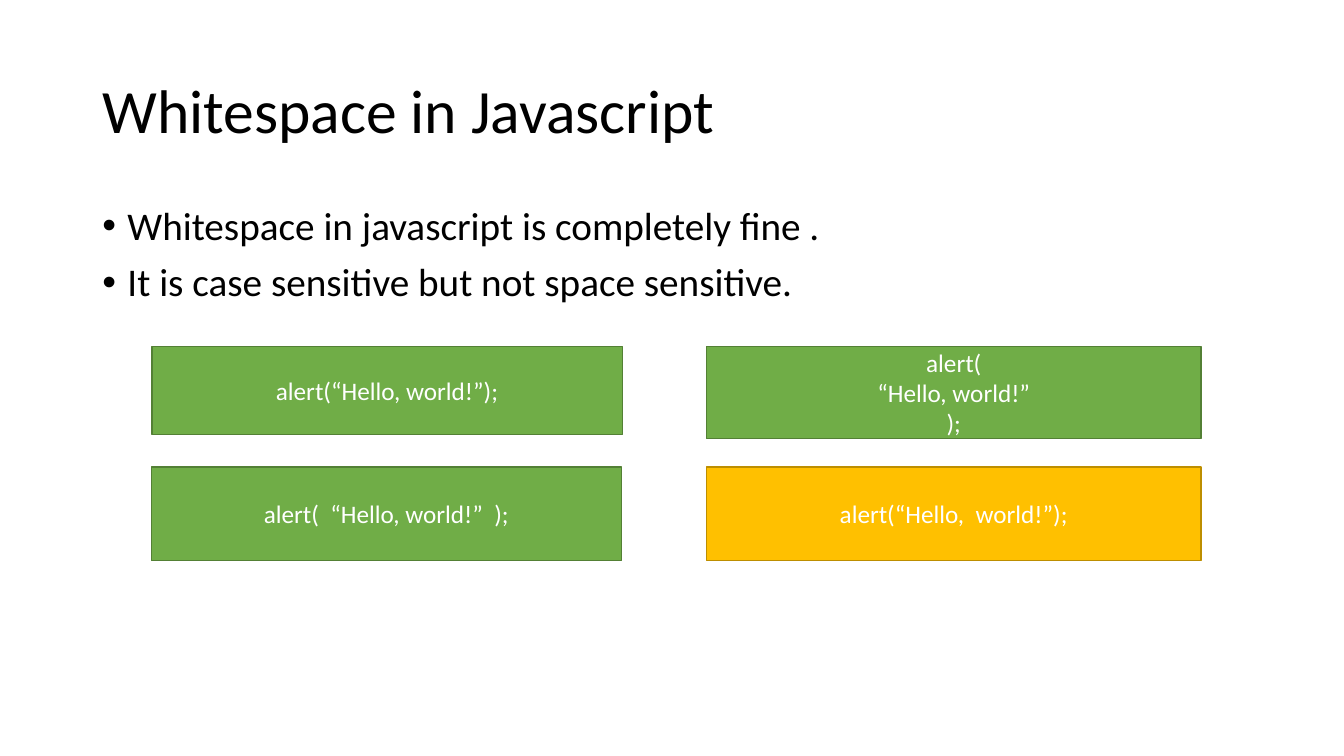
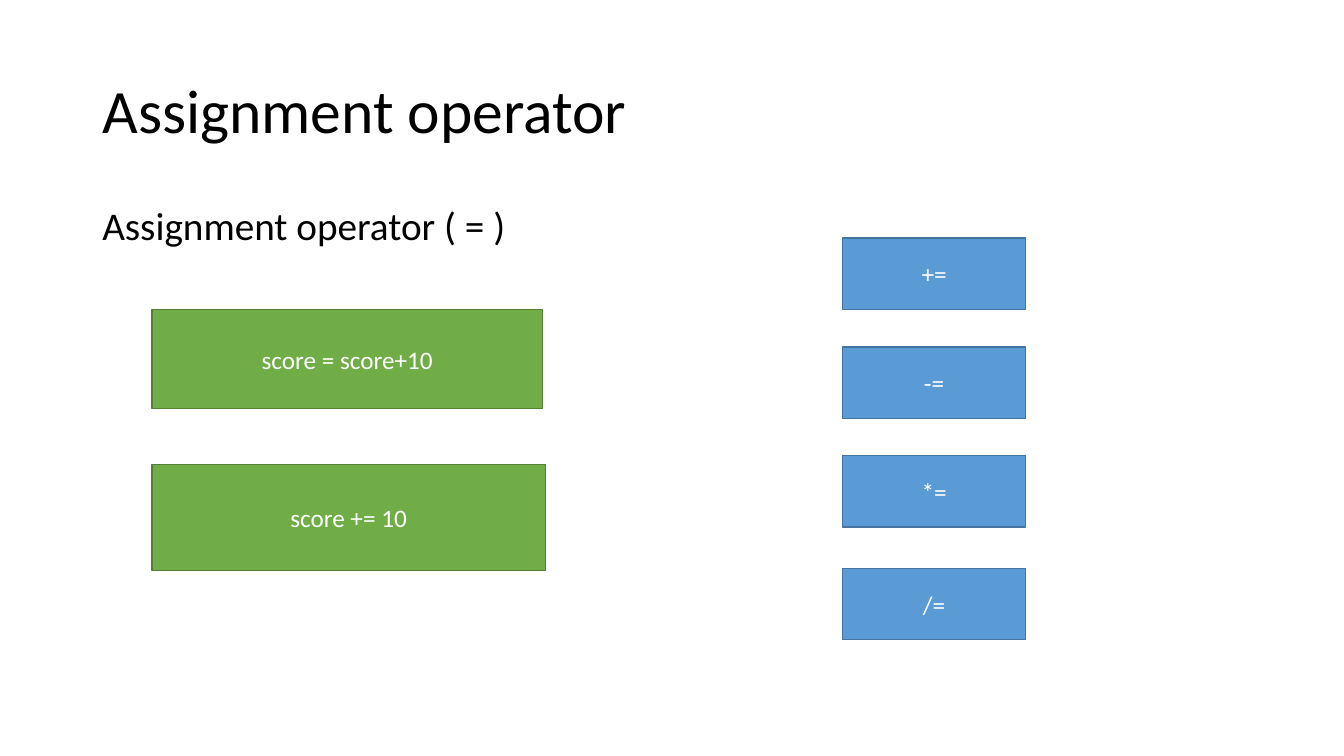
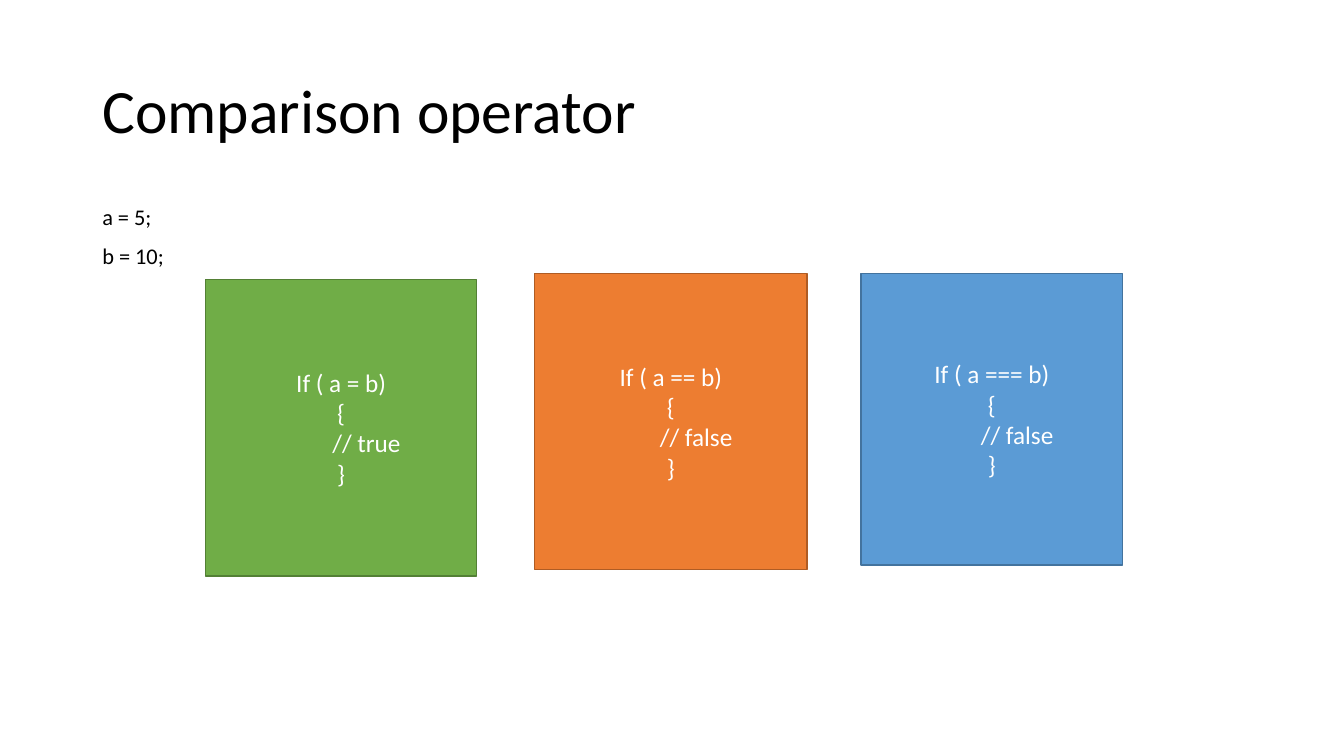
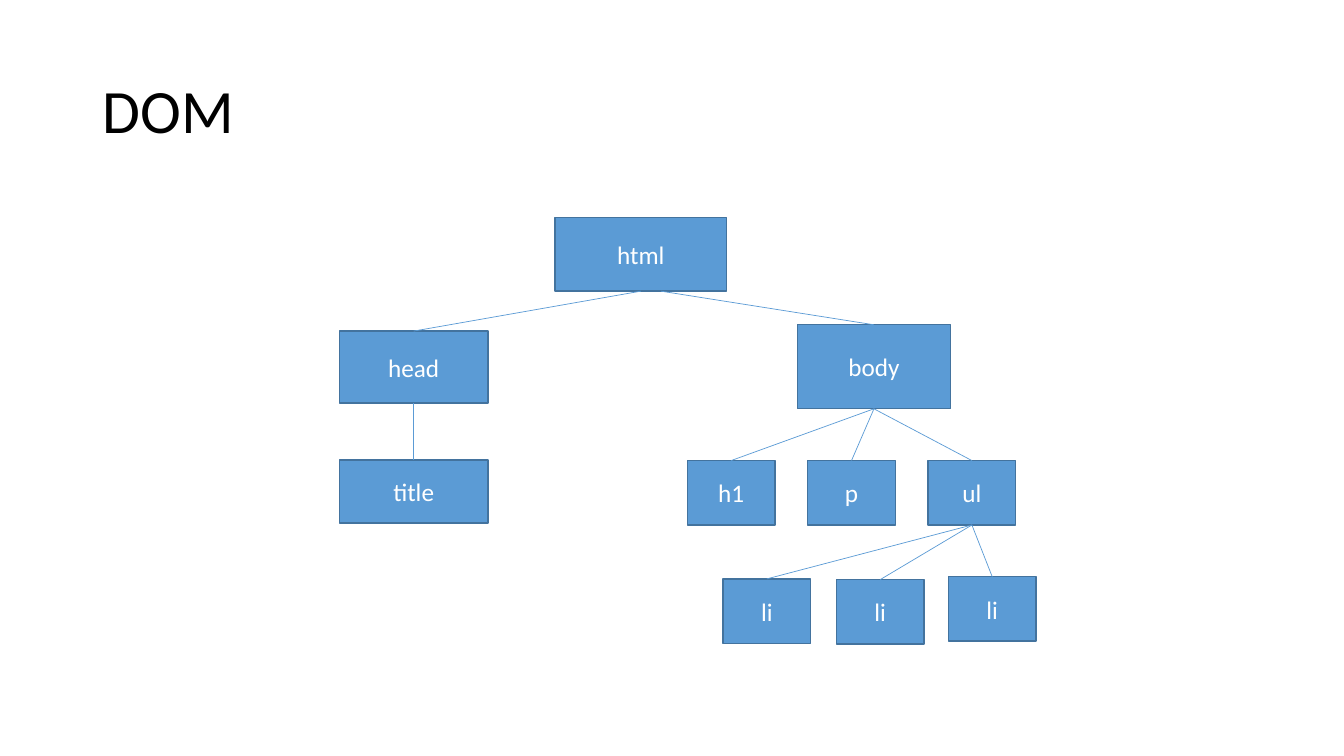
from lxml.etree import SubElement as Sub
from pptx import Presentation as Deck
from pptx.dml.color import RGBColor as RGB
from pptx.enum.shapes import MSO_CONNECTOR as Link, MSO_SHAPE as Kind
from pptx.enum.text import MSO_ANCHOR as Anchor, MSO_AUTO_SIZE as Fit, PP_ALIGN as Align
from pptx.oxml.ns import qn
from pptx.util import Pt

HUES = {
    "black": "000000",
    "white": "FFFFFF",
    "green": "70AD47",
    "gold": "FFC000",
    "orange": "ED7D31",
    "blue": "5B9BD5",
}
EDGES = {"green": "538035", "gold": "BD8E00", "orange": "AF5C24", "blue": "43739E"}
FONT = "Calibri"


def write(shape, text, size=18, hue="black", align=Align.LEFT, anchor=Anchor.TOP,
          lead=None, gap=0, bullet=None):
    frame = shape.text_frame
    frame.word_wrap = True
    frame.auto_size = Fit.NONE
    frame.vertical_anchor = anchor
    for i, line in enumerate(text.split("\n")):
        para = frame.add_paragraph() if i else frame.paragraphs[0]
        if bullet:
            props = para._p.get_or_add_pPr()
            props.set("marL", str(Pt(18)))
            props.set("indent", str(-Pt(18)))
            Sub(props, qn("a:buFont")).set("typeface", "Arial")
            Sub(props, qn("a:buChar")).set("char", bullet)
        para.alignment = align
        if lead:
            para.line_spacing = lead
        if i and gap:
            para.space_before = Pt(gap)
        run = para.add_run()
        run.text = line
        run.font.size = Pt(size)
        run.font.name = FONT
        run.font.color.rgb = RGB.from_string(HUES[hue])


def block(slide, text, hue, x, y, w, h):
    shape = slide.shapes.add_shape(Kind.RECTANGLE, Pt(x), Pt(y), Pt(w), Pt(h))
    shape.shadow.inherit = False
    shape.fill.solid()
    shape.fill.fore_color.rgb = RGB.from_string(HUES[hue])
    shape.line.color.rgb = RGB.from_string(EDGES[hue])
    shape.line.width = Pt(1)
    write(shape, text, hue="white", align=Align.CENTER, anchor=Anchor.MIDDLE)
    return shape


deck = Deck()
deck.slide_width, deck.slide_height = Pt(960), Pt(540)

pages = [
    ("Whitespace in Javascript",
     "Whitespace in javascript is completely fine .\nIt is case sensitive but not space sensitive.",
     28, "•"),
    ("Assignment operator", "Assignment operator ( = )", 28, None),
    ("Comparison operator", "a = 5;\nb = 10;", 16, None),
    ("DOM", None, None, None),
]
slides = []
for head, body, size, mark in pages:
    slide = deck.slides.add_slide(deck.slide_layouts[5])
    title = slide.shapes.title
    title.left, title.top, title.width, title.height = Pt(66), Pt(28.75), Pt(828), Pt(104.4)
    write(title, head, size=44, anchor=Anchor.MIDDLE, lead=0.9)
    if body:
        area = slide.shapes.add_textbox(Pt(66), Pt(144), Pt(828), Pt(342.6))
        write(area, body, size=size, lead=0.9, gap=10, bullet=mark)
    slides.append(slide)
space, assign, compare, dom = slides

for text, hue, x, y, w, h in [
    ("alert(“Hello, world!”);", "green", 108.5, 247.5, 336, 63),
    ("alert(  “Hello, world!”  );", "green", 108, 333.5, 336, 67),
    ("alert(\n“Hello, world!”\n);", "green", 504.5, 247.5, 353.5, 66),
    ("alert(“Hello,  world!”);", "gold", 504.5, 333.5, 353.5, 67),
]:
    block(space, text, hue, x, y, w, h)

block(assign, "score = score+10", "green", 108.5, 221, 279, 71)
block(assign, "score += 10", "green", 108.5, 332, 281, 75.5)
for sign, y in zip("+-*/", (170, 247.75, 325.5, 406)):
    block(assign, sign + "=", "blue", 602, y, 130.5, 51)

for sign, truth, hue, x, y, w, h in [
    ("=", "true", "green", 147, 199.5, 193.5, 212),
    ("==", "false", "orange", 382, 195.5, 194.5, 211.5),
    ("===", "false", "blue", 615, 195.5, 187, 208),
]:
    block(compare, f"If ( a {sign} b)\n{{\n\t// {truth}\n}}", hue, x, y, w, h)

tree = [
    ("html", None, 396.5, 155.5, 122.5, 52.5),
    ("head", 0, 242.5, 236.5, 106, 51.5),
    ("body", 0, 569.5, 232, 109.5, 60),
    ("title", 1, 242.5, 328.5, 106, 45),
    ("h1", 2, 491, 329, 62.5, 46),
    ("p", 2, 577, 329, 62.5, 46),
    ("ul", 2, 663, 329, 62.5, 46),
    ("li", 6, 516.5, 413.5, 62.5, 46),
    ("li", 6, 597.5, 414, 62.5, 46),
    ("li", 6, 677.5, 412, 62.5, 46),
]
nodes = [block(dom, tag, "blue", *place) for tag, up, *place in tree]
for node, (tag, up, *place) in zip(nodes, tree):
    if up is None:
        continue
    root = nodes[up]
    shift = 14.5 if tag == "body" else 0
    line = dom.shapes.add_connector(
        Link.STRAIGHT, root.left + root.width // 2 + Pt(shift), root.top + root.height,
        node.left + node.width // 2, node.top)
    if not shift:
        line.begin_connect(root, 2)
    line.end_connect(node, 0)
    line.line.color.rgb = RGB.from_string(HUES["blue"])
    line.line.width = Pt(0.5)
    Sub(line._element.spPr, qn("a:effectLst"))

deck.save("out.pptx")
